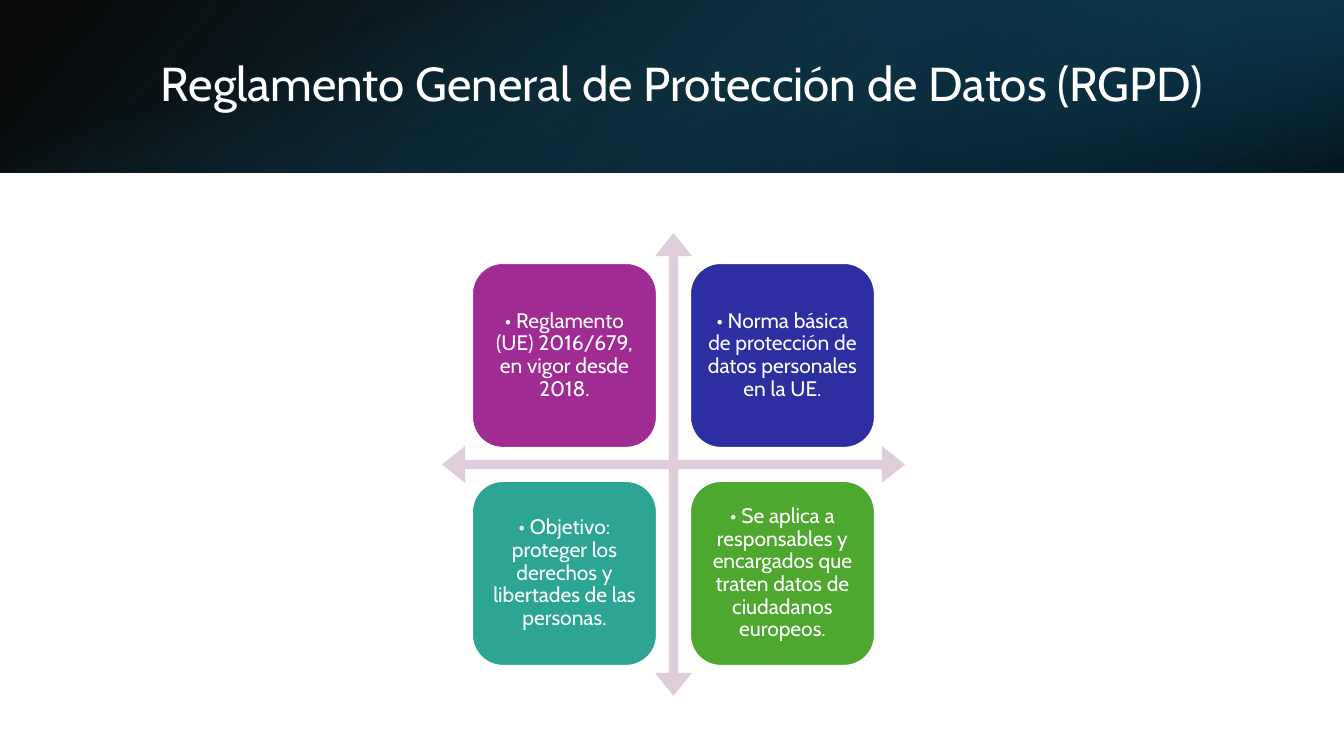
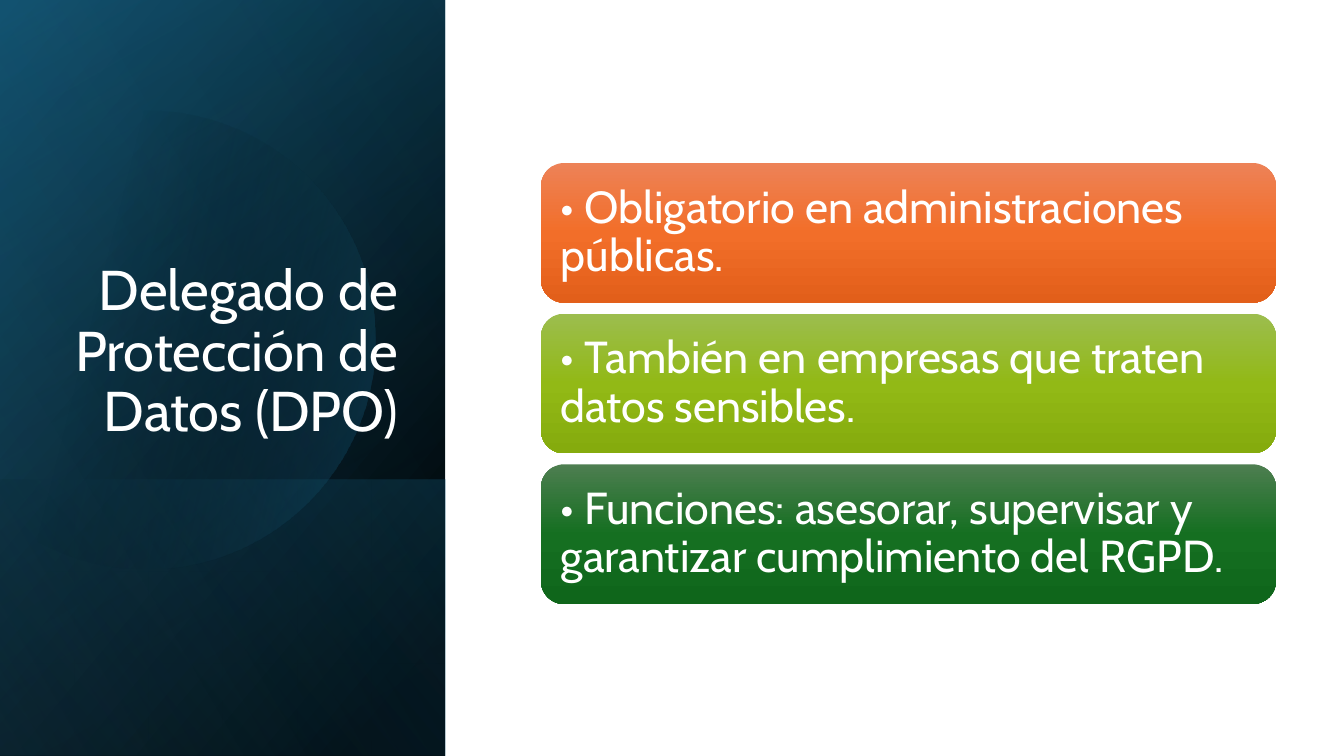
import math

import pptx
import pptx.dml.color
import pptx.enum.shapes
import pptx.enum.text
import pptx.oxml
import pptx.oxml.ns
import pptx.util

SCALE = 914400 / 100.8
SLIDE_W, SLIDE_H = 1344, 756
FONT = "Cabin"
WHITE = "FFFFFF"
BLACK = "000000"
NAVY = "104862"
TEAL = "156082"
SHAPE = pptx.enum.shapes.MSO_SHAPE
ALIGN = pptx.enum.text.PP_ALIGN
ANCHOR = pptx.enum.text.MSO_ANCHOR


def px(n):
    return pptx.util.Emu(round(n * SCALE))


def rgb(value):
    return pptx.dml.color.RGBColor.from_string(value)


def set_gradient(sp, stops, angle):
    gs = "".join(
        f'<a:gs pos="{pos * 1000}"><a:srgbClr val="{color}">'
        f'<a:alpha val="{alpha * 1000}"/></a:srgbClr></a:gs>'
        for pos, color, alpha in stops
    )
    sp.fill.background()
    old = sp._element.spPr.find(pptx.oxml.ns.qn("a:noFill"))
    new = pptx.oxml.parse_xml(
        f'<a:gradFill {pptx.oxml.ns.nsdecls("a")} rotWithShape="1">'
        f'<a:gsLst>{gs}</a:gsLst>'
        f'<a:lin ang="{angle * 60000}" scaled="0"/></a:gradFill>'
    )
    old.getparent().replace(old, new)


def add_shape(s, kind, x, y, w, h):
    sp = s.shapes.add_shape(kind, px(x), px(y), px(w), px(h))
    sp.shadow.inherit = False
    sp.line.fill.background()
    return sp


def add_band(s, box, stops, angle, rotation=0, flip=True):
    x, y, w, h = box
    if rotation == 90:
        x, y, w, h = x + (w - h) / 2, y + (h - w) / 2, h, w
    sp = add_shape(s, SHAPE.RECTANGLE, x, y, w, h)
    sp.rotation = rotation
    if flip:
        sp._element.spPr.xfrm.set("flipH", "1")
    set_gradient(sp, stops, angle)


def add_disc(s, cx, cy, radius):
    limit = math.acos(-cx / radius)
    steps = 90
    points = []
    for i in range(steps + 1):
        a = limit * (2 * i / steps - 1)
        points.append((px(cx + radius * math.cos(a)), px(cy + radius * math.sin(a))))
    fb = s.shapes.build_freeform(*points[0])
    fb.add_line_segments(points[1:], close=True)
    sp = fb.convert_to_shape()
    sp.shadow.inherit = False
    sp.line.fill.background()
    set_gradient(sp, [(29, BLACK, 0), (100, TEAL, 43)], 14)


def set_text(sp, text, size, align, anchor=ANCHOR.MIDDLE, inset=None):
    tf = sp.text_frame
    tf.word_wrap = True
    tf.vertical_anchor = anchor
    if inset is not None:
        tf.margin_left = tf.margin_right = px(inset)
        tf.margin_top = tf.margin_bottom = px(inset)
    tf.text = text
    p = tf.paragraphs[0]
    p.alignment = align
    p.line_spacing = 0.9
    font = p.runs[0].font
    font.name = FONT
    font.size = pptx.util.Pt(size)
    font.color.rgb = rgb(WHITE)


def add_title(s, box, text, size, align, anchor):
    sp = s.shapes.add_textbox(*map(px, box))
    set_text(sp, text, size, align, anchor)


def add_header(s, w, h):
    box = (0, 0, w, h)
    third = w // 3
    add_band(s, box, [(0, BLACK, 96), (100, NAVY, 100)], 140)
    add_band(s, (w - third, 0, third, h),
             [(19, "0B3041", 68), (100, TEAL, 79)], 320, rotation=180)
    add_band(s, box, [(23, TEAL, 0), (99, BLACK, 74)], 340, rotation=90, flip=False)


def add_side_panel(s, w, h):
    box = (0, 0, w, h)
    foot = 276
    add_band(s, box, [(8, BLACK, 100), (100, NAVY, 100)], 50, rotation=90)
    add_band(s, box, [(0, BLACK, 0), (99, TEAL, 46)], 30, rotation=90)
    add_band(s, (0, h - foot, w, foot),
             [(2, TEAL, 29), (100, BLACK, 30)], 130, rotation=90)
    add_disc(s, 146, 340, 229)
    add_band(s, box, [(0, BLACK, 0), (99, "46B1E1", 11)], 120, rotation=90)


def add_matrix(s, x, y, size, cards):
    arrow = add_shape(s, SHAPE.QUAD_ARROW, x, y, size, size)
    for i, value in enumerate((0.02, 0.04, 0.05)):
        arrow.adjustments[i] = value
    arrow.fill.solid()
    arrow.fill.fore_color.rgb = rgb("DFCDDC")
    margin, side = 30, 185
    step = size - 2 * margin - side
    for i, (color, text) in enumerate(cards):
        row, col = divmod(i, 2)
        sp = add_shape(s, SHAPE.ROUNDED_RECTANGLE, x + margin + col * step,
                       y + margin + row * step, side, side)
        sp.fill.solid()
        sp.fill.fore_color.rgb = rgb(color)
        sp.line.color.rgb = rgb(WHITE)
        sp.line.width = pptx.util.Pt(1.5)
        set_text(sp, text, 15, ALIGN.CENTER, inset=6)


def add_card_list(s, x, y, w, h, cards):
    gap = 11
    card_h = (h - gap * (len(cards) - 1)) / len(cards)
    for i, (colors, text) in enumerate(cards):
        sp = add_shape(s, SHAPE.ROUNDED_RECTANGLE, x, y + i * (card_h + gap), w, card_h)
        set_gradient(sp, [(50 * n, c, 100) for n, c in enumerate(colors)], 90)
        set_text(sp, text, 32, ALIGN.LEFT, inset=13)


def build_regulation(s):
    add_header(s, SLIDE_W, 173)
    add_title(s, (151, 38, 1107, 97), "Reglamento General de Protección de Datos (RGPD)",
              34, ALIGN.LEFT, ANCHOR.MIDDLE)
    add_matrix(s, 442, 233, 463, [
        ("A02B93", "• Reglamento (UE) 2016/679, en vigor desde 2018."),
        ("2C2EA2", "• Norma básica de protección de datos personales en la UE."),
        ("2DA594", "• Objetivo: proteger los derechos y libertades de las personas."),
        ("4EA72E", "• Se aplica a responsables y encargados que traten datos de "
                   "ciudadanos europeos."),
    ])


def build_officer(s):
    add_side_panel(s, 445, SLIDE_H)
    add_title(s, (64, 185, 344, 264), "Delegado de Protección de Datos (DPO)",
              40, ALIGN.RIGHT, ANCHOR.BOTTOM)
    add_card_list(s, 541, 163, 735, 441, [
        (("ED8257", "F26E29", "E25F1A"), "• Obligatorio en administraciones públicas."),
        (("9CBD4E", "92B916", "85AB0D"),
         "• También en empresas que traten datos sensibles."),
        (("4D7E50", "156F21", "0F661B"),
         "• Funciones: asesorar, supervisar y garantizar cumplimiento del RGPD."),
    ])


def main():
    prs = pptx.Presentation()
    prs.slide_width = px(SLIDE_W)
    prs.slide_height = px(SLIDE_H)
    for build in (build_regulation, build_officer):
        build(prs.slides.add_slide(prs.slide_layouts[6]))
    prs.save("out.pptx")


if __name__ == "__main__":
    main()
